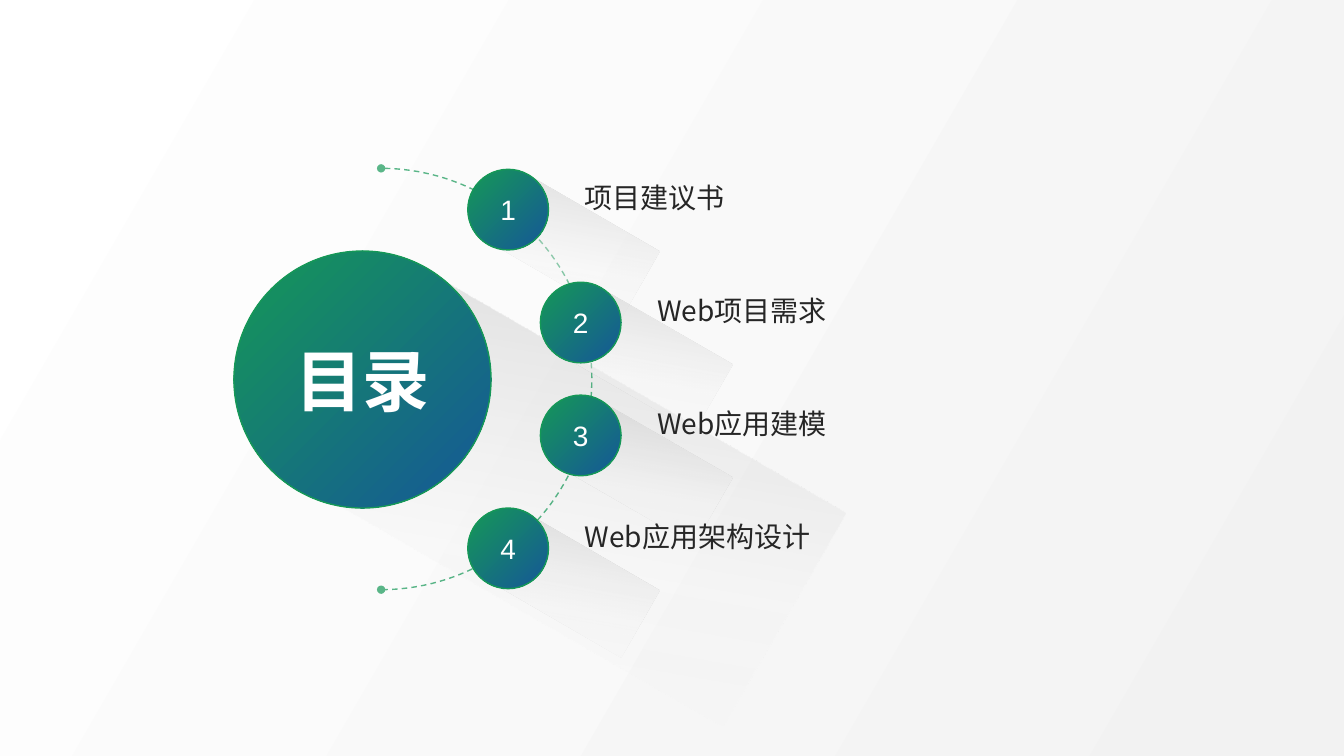
import math

from lxml import etree
from pptx import Presentation
from pptx import util as u
from pptx.dml import color
from pptx.enum import dml, shapes, text
from pptx.oxml import ns

SLIDE_W, SLIDE_H = 13.33, 7.5
GREEN, BLUE, WHITE, INK = "159857", "155798", "FFFFFF", "262626"
LATIN, CHINESE = "Arial", "Noto Sans CJK SC"
BRAND = [(0, GREEN, 100), (100, BLUE, 100)]
ARC = [(0, GREEN, 70), (100, BLUE, 70)]
BACKDROP = [(0, WHITE, 95), (100, "F2F2F2", 100)]
CAST = [(0, "BFBFBF", 50), (61, "F2F2F2", 34), (100, "F2F2F2", 0)]
TOPICS = [
    ("项目建议书", 4.64, 3.6),
    ("Web项目需求", 5.36, 3.23),
    ("Web应用建模", 5.36, 3.72),
    ("Web应用架构设计", 4.64, 3.22),
]
BADGE, FIRST_BADGE_TOP, BADGE_STEP = 0.8, 1.68, 1.12


def rgb(value):
    """Turn a hex string into a colour."""
    return color.RGBColor.from_string(value)


def inches(*lengths):
    """Convert lengths in inches to slide units."""
    return [u.Inches(length) for length in lengths]


def blend(fill, holder, stops, angle):
    """Give a fill a gradient of (position, colour, opacity) stops."""
    fill.gradient()
    gradient = holder.find(".//" + ns.qn("a:gradFill"))
    for old in list(gradient):
        gradient.remove(old)
    stop_list = etree.SubElement(gradient, ns.qn("a:gsLst"))
    for position, value, opacity in stops:
        stop = etree.SubElement(stop_list, ns.qn("a:gs"), pos=str(position * 1000))
        tint = etree.SubElement(stop, ns.qn("a:srgbClr"), val=value)
        if opacity < 100:
            etree.SubElement(tint, ns.qn("a:alpha"), val=str(opacity * 1000))
    etree.SubElement(gradient, ns.qn("a:lin"), ang=str(angle * 60000), scaled="0")


def outline(shape, stops):
    """Draw a one-point gradient outline and return its XML element."""
    shape.line.width = u.Pt(1)
    line = shape.element.spPr.find(ns.qn("a:ln"))
    blend(shape.line.fill, line, stops, 45)
    return line


def write(frame, words, size, font, tint, align, bold=False):
    """Write one run, centred vertically in its frame."""
    frame.word_wrap = True
    frame.auto_size = text.MSO_AUTO_SIZE.NONE
    frame.vertical_anchor = text.MSO_ANCHOR.MIDDLE
    frame.margin_left = frame.margin_right = u.Inches(0.1)
    frame.margin_top = frame.margin_bottom = u.Inches(0.05)
    paragraph = frame.paragraphs[0]
    paragraph.alignment = align
    paragraph.line_spacing = 1.0
    run = paragraph.add_run()
    run.text = words
    run.font.size, run.font.bold, run.font.name = u.Pt(size), bold, font
    run.font.color.rgb = rgb(tint)
    run_format = run._r.get_or_add_rPr()
    etree.SubElement(run_format, ns.qn("a:ea"), typeface=font)


def add_disc(slide, left, top, size):
    """Add a gradient disc with its slanted cast shadow."""
    cast_w, cast_h = 1.8 * size, 0.96 * size
    cast_x = left + 1.36 * size - cast_w / 2
    cast_y = top + 0.985 * size - cast_h / 2
    cast = slide.shapes.add_shape(
        shapes.MSO_SHAPE.RECTANGLE, *inches(cast_x, cast_y, cast_w, cast_h))
    cast.rotation = 30
    cast.shadow.inherit = False
    cast.line.fill.background()
    blend(cast.fill, cast.element.spPr, CAST, 70)
    disc = slide.shapes.add_shape(
        shapes.MSO_SHAPE.OVAL, *inches(left, top, size, size))
    disc.shadow.inherit = False
    blend(disc.fill, disc.element.spPr, BRAND, 45)
    outline(disc, BRAND)
    return disc


def add_heading(slide, left, top, size):
    """Place the slide title on the large disc."""
    add_disc(slide, left, top, size)
    title = slide.shapes.title
    width, height = 1.7, 0.91
    title.left, title.top, title.width, title.height = inches(
        left + (size - width) / 2, top + (size - height) / 2, width, height)
    slide.shapes.element.append(title.element)
    write(title.text_frame, "目录", 48, CHINESE, WHITE, text.PP_ALIGN.CENTER, True)


def add_orbit(slide, left, top, radius):
    """Draw the dashed half circle that links the topics."""
    steps = 90
    points = [
        (u.Inches(left + radius * math.sin(math.pi * step / steps)),
         u.Inches(top + radius - radius * math.cos(math.pi * step / steps)))
        for step in range(steps + 1)]
    builder = slide.shapes.build_freeform(*points[0])
    builder.add_line_segments(points[1:], close=False)
    orbit = builder.convert_to_shape()
    orbit.shadow.inherit = False
    orbit.fill.background()
    line = outline(orbit, ARC)
    orbit.line.dash_style = dml.MSO_LINE.DASH
    for end in ("a:headEnd", "a:tailEnd"):
        etree.SubElement(line, ns.qn(end), type="oval")


def add_topic(slide, number, topic, left, top, label_width):
    """Add one numbered disc and its label."""
    disc = add_disc(slide, left, top, BADGE)
    write(disc.text_frame, str(number), 20, LATIN, WHITE, text.PP_ALIGN.CENTER)
    label = slide.shapes.add_textbox(
        *inches(left + BADGE + 0.26, top + 0.06, label_width, 0.44))
    write(label.text_frame, topic, 20, CHINESE, INK, text.PP_ALIGN.LEFT)


def main():
    """Build the contents slide."""
    deck = Presentation()
    deck.slide_width, deck.slide_height = inches(SLIDE_W, SLIDE_H)
    slide = deck.slides.add_slide(deck.slide_layouts[5])
    blend(slide.background.fill, slide.element, BACKDROP, 30)
    add_heading(slide, 2.32, 2.49, 2.55)
    add_orbit(slide, 3.78, 1.67, 2.09)
    for index, (topic, left, label_width) in enumerate(TOPICS):
        top = FIRST_BADGE_TOP + index * BADGE_STEP
        add_topic(slide, index + 1, topic, left, top, label_width)
    deck.save("out.pptx")


if __name__ == "__main__":
    main()
